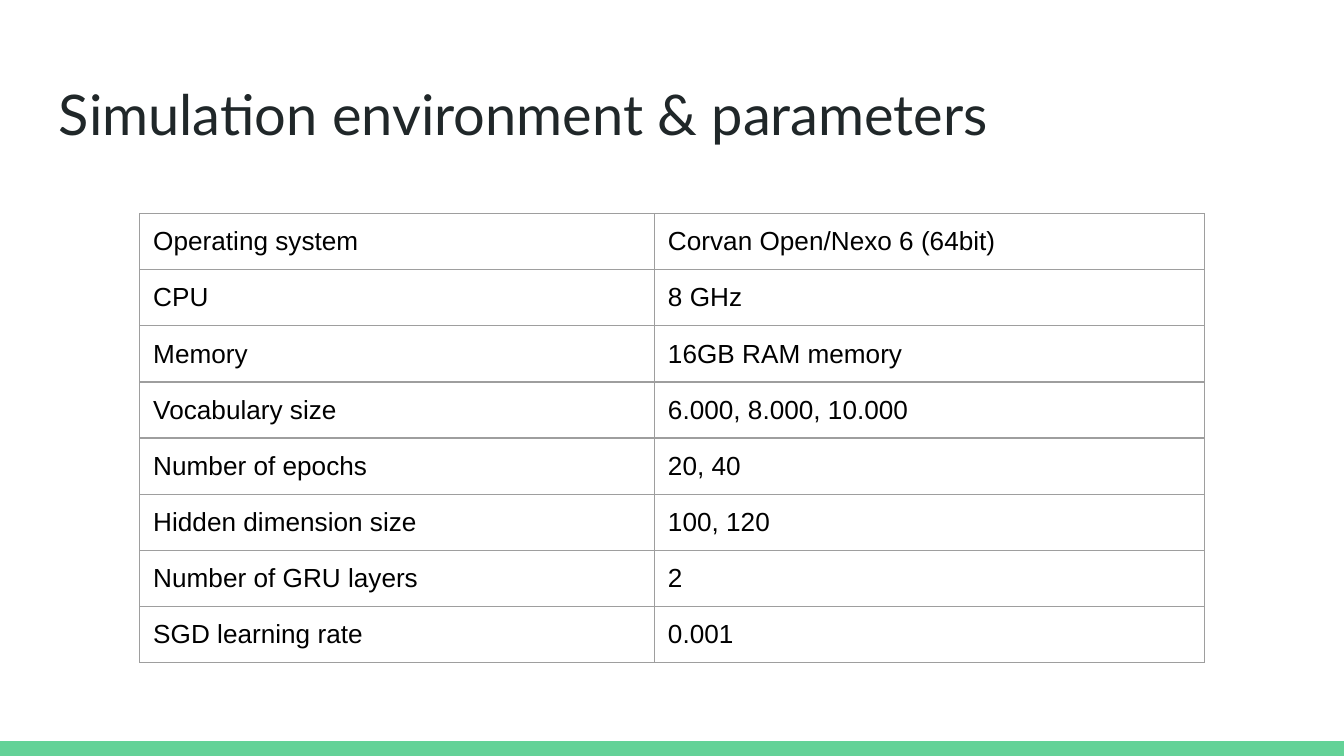
from pptx import Presentation
from pptx.dml.color import RGBColor
from pptx.enum.shapes import MSO_SHAPE
from pptx.enum.text import MSO_ANCHOR
from pptx.oxml import parse_xml
from pptx.oxml.ns import nsdecls
from pptx.util import Inches, Pt

# Content
TITLE = "Simulation environment & parameters"
PARAMETERS = [
    ("Operating system", "Corvan Open/Nexo 6 (64bit)"),
    ("CPU", "8 GHz"),
    ("Memory", "16GB RAM memory"),
    ("Vocabulary size", "6.000, 8.000, 10.000"),
    ("Number of epochs", "20, 40"),
    ("Hidden dimension size", "100, 120"),
    ("Number of GRU layers", "2"),
    ("SGD learning rate", "0.001"),
]

# Layout and colours
WIDTH = 10
HEIGHT = WIDTH * 9 / 16
BAR_HEIGHT = 0.11
TABLE_LEFT, TABLE_TOP, TABLE_HEIGHT = 1.04, 1.59, 3.34
COLUMN_WIDTHS = [3.83, 4.09]
MARGIN, CELL_BOTTOM = 0.1, 0.08
WHITE, GREEN, INK, BLACK, GREY = "FFFFFF", "63D297", "202729", "000000", "9E9E9E"


def color(value):
    return RGBColor.from_string(value)


def write(frame, text, font, size, ink):
    frame.text = text
    span = frame.paragraphs[0].runs[0]
    span.font.name = font
    span.font.size = Pt(size)
    span.font.color.rgb = color(ink)


def set_margins(holder, bottom=MARGIN):
    holder.margin_left = holder.margin_right = holder.margin_top = Inches(MARGIN)
    holder.margin_bottom = Inches(bottom)


def add_borders(cell, line_color, points):
    properties = cell._tc.get_or_add_tcPr()
    for position, side in enumerate(("lnL", "lnR", "lnT", "lnB")):
        properties.insert(position, parse_xml(
            f'<a:{side} {nsdecls("a")} w="{Pt(points)}"><a:solidFill>'
            f'<a:srgbClr val="{line_color}"/></a:solidFill></a:{side}>'))


deck = Presentation()
deck.slide_width, deck.slide_height = Inches(WIDTH), Inches(HEIGHT)
page = deck.slides.add_slide(deck.slide_layouts[6])
page.background.fill.solid()
page.background.fill.fore_color.rgb = color(WHITE)

# Bottom bar
bar = page.shapes.add_shape(MSO_SHAPE.RECTANGLE, 0, Inches(HEIGHT - BAR_HEIGHT),
                            Inches(WIDTH), Inches(BAR_HEIGHT))
bar.shadow.inherit = False
bar.fill.solid()
bar.fill.fore_color.rgb = color(GREEN)
bar.line.fill.background()

# Title
box = page.shapes.add_textbox(Inches(0.34), Inches(0.49), Inches(9.32), Inches(0.63))
box.text_frame.word_wrap = True
box.text_frame.vertical_anchor = MSO_ANCHOR.TOP
set_margins(box.text_frame)
write(box.text_frame, TITLE, "Lato", 30, INK)

# Parameter table; the smaller bottom margin keeps rows from growing
table = page.shapes.add_table(
    len(PARAMETERS), len(COLUMN_WIDTHS), Inches(TABLE_LEFT), Inches(TABLE_TOP),
    Inches(sum(COLUMN_WIDTHS)), Inches(TABLE_HEIGHT)).table
table.first_row = table.horz_banding = False
for column, width in zip(table.columns, COLUMN_WIDTHS):
    column.width = Inches(width)
for row, values in zip(table.rows, PARAMETERS):
    row.height = Inches(TABLE_HEIGHT / len(PARAMETERS))
    for cell, value in zip(row.cells, values):
        cell.fill.background()
        set_margins(cell, CELL_BOTTOM)
        write(cell.text_frame, value, "Arial", 14, BLACK)
        add_borders(cell, GREY, 0.75)

deck.save("out.pptx")
